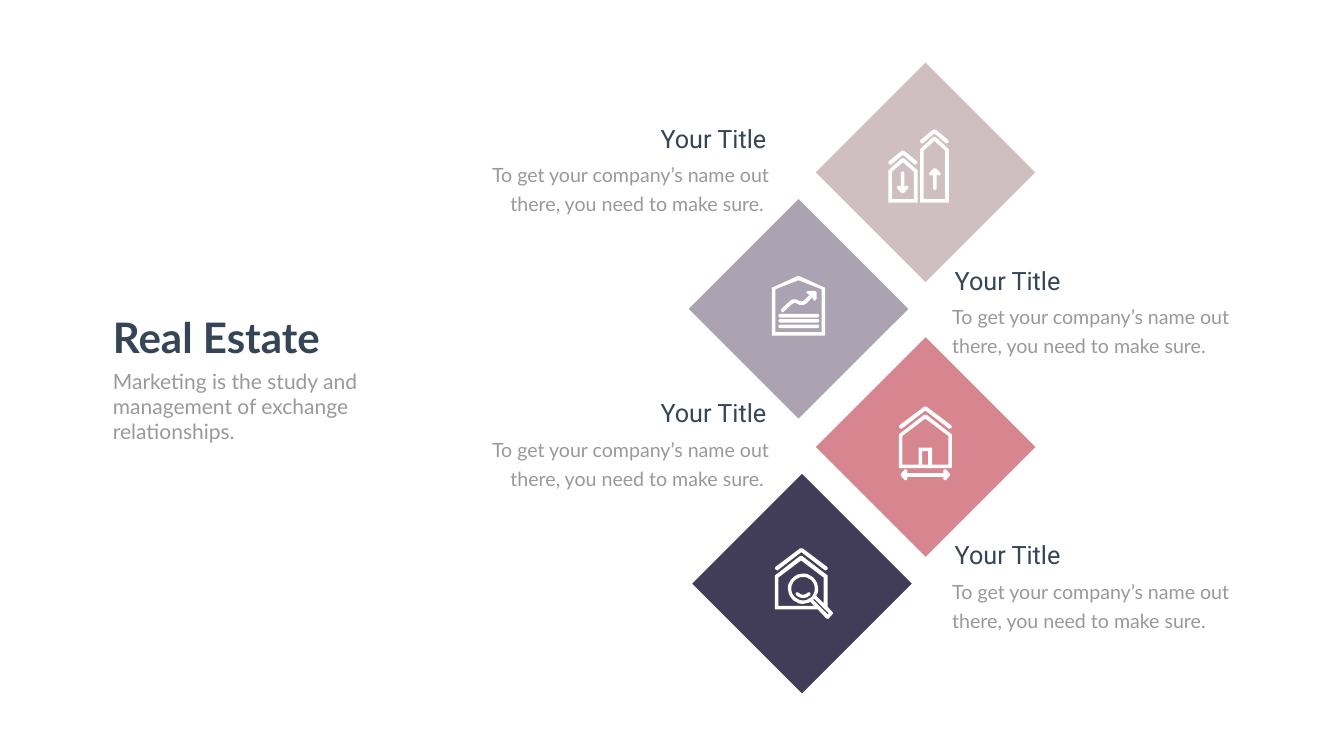
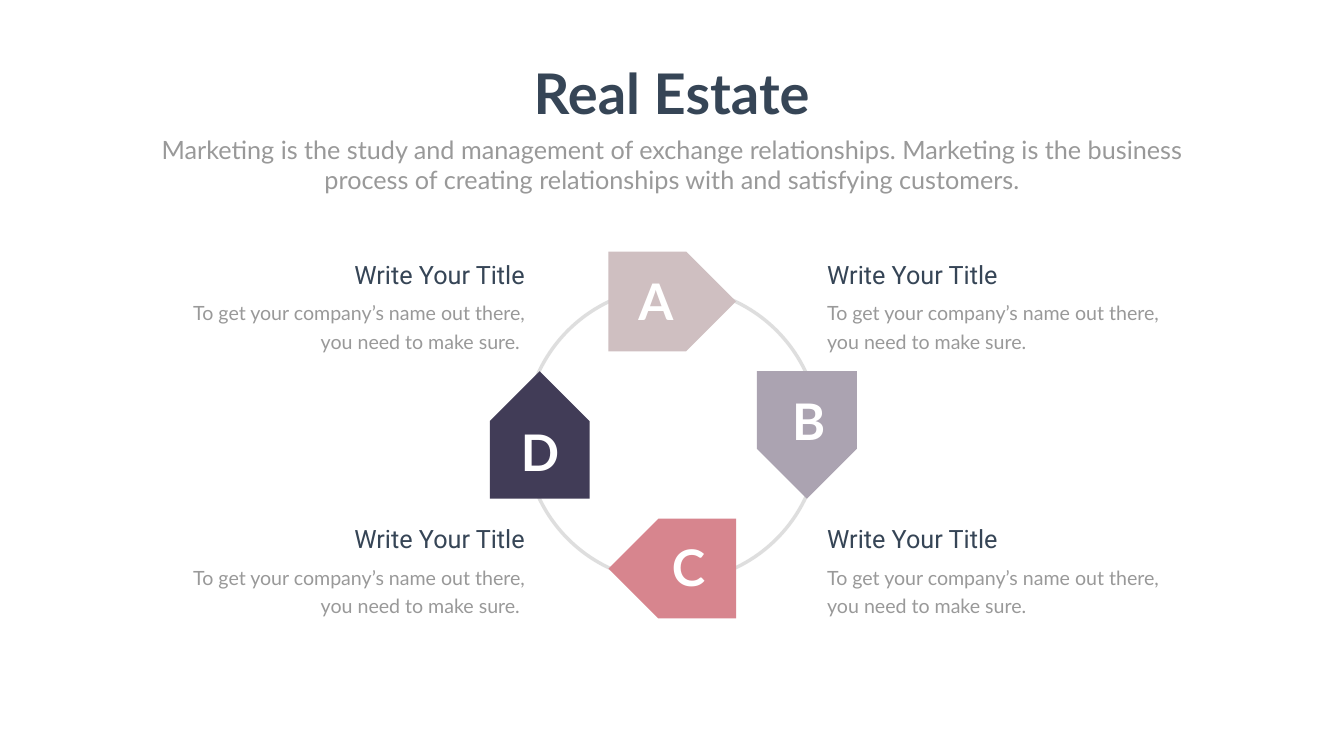
from math import cos, radians, sin
from lxml import etree
from pptx import Presentation
from pptx import util as u
from pptx.dml.color import RGBColor
from pptx.enum import shapes, text
from pptx.oxml import ns

PX = 9144
NAVY, GREY, WHITE, RING = "364556", "999999", "FFFFFF", "BFBFBF"
ROSE, MAUVE, CORAL, PLUM = "CFBFC1", "ABA3B1", "D7858E", "413C57"
KIND, ALIGN = shapes.MSO_SHAPE, text.PP_ALIGN
BLURB = "To get your company’s name out there, you need to make sure."


def ink(code):
    """Turn a hex string into a colour."""
    return RGBColor.from_string(code)


def box(rect):
    """Turn a px rectangle into EMU."""
    return [n * PX for n in rect]


def mirror(half, w):
    """Close a left half outline with its reflection across width w."""
    return half + [(w - x, y) for x, y in reversed(half)]


def move(loop, x, y):
    """Shift an outline."""
    return [(x + a, y + b) for a, b in loop]


def arc(x, y, r, start, end, step):
    """Sample points along a circle, in degrees."""
    return [(round(x + r * cos(radians(a)), 2), round(y + r * sin(radians(a)), 2))
            for a in range(start, end, step)]


class Deck:
    """Hold the style and the current slide."""

    def __init__(self):
        """Open an empty deck of the right size."""
        self.prs = Presentation()
        self.prs.slide_width, self.prs.slide_height = 2666 * PX, 1500 * PX

    def page(self, head, hbox, hsize, body, bbox, bsize, align=ALIGN.LEFT):
        """Start a slide with its title and its subtitle."""
        self.slide = self.prs.slides.add_slide(self.prs.slide_layouts[1])
        title, sub = self.slide.placeholders
        self.place(title, hbox)
        self.place(sub, bbox)
        para = sub.text_frame.paragraphs[0]
        props = para._p.get_or_add_pPr()
        props.set("marL", "0")
        props.set("indent", "0")
        etree.SubElement(props, ns.qn("a:buNone"))
        para.space_before = u.Pt(0)
        self.letter(title, head, hsize, NAVY, align, bold=True)
        self.letter(sub, body, bsize, GREY, align)

    def place(self, shape, rect):
        """Move a placeholder to a rectangle."""
        shape.left, shape.top, shape.width, shape.height = box(rect)

    def letter(self, shape, words, size, code, align, font="Lato", bold=False, lead=None):
        """Fill a shape with one styled paragraph."""
        frame = shape.text_frame
        frame.word_wrap = True
        frame.auto_size = text.MSO_AUTO_SIZE.SHAPE_TO_FIT_TEXT
        frame.vertical_anchor = text.MSO_ANCHOR.TOP
        para = frame.paragraphs[0]
        para.text = words
        para.alignment = align
        if lead:
            para.line_spacing = u.Pt(lead)
        style = para.runs[0].font
        style.name, style.size, style.bold = font, u.Pt(size), bold
        style.color.rgb = ink(code)

    def label(self, rect, *args, **style):
        """Add a text box."""
        self.letter(self.slide.shapes.add_textbox(*box(rect)), *args, **style)

    def caption(self, head, x, y, w, hw, gap, shift, right):
        """Add a heading with a blurb below, flush to one side."""
        hx = x + w - hw - shift if right else x + shift
        align = ALIGN.RIGHT if right else ALIGN.LEFT
        self.label((x, y + gap, w, 119), BLURB + " " * right, 28, GREY, align, lead=40.8)
        self.label((hx, y, hw, 71), head, 36, NAVY, align, font="Roboto")

    def paint(self, shape, code):
        """Give a shape a flat fill."""
        shape.shadow.inherit = False
        shape.fill.solid()
        shape.fill.fore_color.rgb = ink(code)
        shape.line.fill.background()

    def block(self, kind, rect, code, turn=0):
        """Add a filled preset shape."""
        shape = self.slide.shapes.add_shape(kind, *box(rect))
        self.paint(shape, code)
        shape.rotation = turn
        return shape

    def ring(self, rect):
        """Add a half transparent circle line."""
        shape = self.slide.shapes.add_shape(KIND.OVAL, *box(rect))
        shape.shadow.inherit = False
        shape.fill.background()
        shape.line.width = u.Pt(5)
        shape.line.color.rgb = ink(RING)
        tone = shape.line._ln.find(".//" + ns.qn("a:srgbClr"))
        etree.SubElement(tone, ns.qn("a:alpha")).set("val", "50000")

    def free(self, *loops):
        """Add a white outline, later loops cutting holes."""
        pen = self.slide.shapes.build_freeform(*loops[0][0], scale=PX)
        pen.add_line_segments(loops[0][1:])
        for loop in loops[1:]:
            pen.move_to(*loop[0])
            pen.add_line_segments(loop[1:])
        self.paint(pen.convert_to_shape(), WHITE)

    def roof(self, x, y, w, h):
        """Add a chevron roof."""
        mid = w // 2
        half = [(mid, 8), (5, h), (0, h - 3), (1, h - 7), (mid - 2, 0)]
        self.free(move(mirror(half, w), x, y))

    def wall(self, x, y, w, h, eave, *extra):
        """Add a hollow gabled wall."""
        mid = w // 2
        outer = [(mid - 2, 0), (0, eave), (0, h)]
        inner = [(mid, 8), (7, eave + 3), (7, h - 7)]
        self.free(*(move(mirror(half, w), x, y) for half in (outer, inner)), *extra)

    def towers(self):
        """Draw two towers with arrows."""
        for x, y, w, h in ((1825, 272, 57, 130), (1762, 314, 58, 88)):
            self.wall(x, y, w, h, 24)
            self.roof(x, y - 15, w, 28)
        half = [(10, 0), (8, 3), (8, 31), (6, 29), (1, 29), (0, 33), (8, 42), (10, 43)]
        down = mirror(half, 23)
        self.free(move(down, 1779, 340))
        self.free(move([(x, 43 - y) for x, y in down], 1843, 334))

    def report(self):
        """Draw a house with a trend line and text rows."""
        self.wall(1531, 548, 106, 118, 23)
        self.free([(1566, 598), (1550, 613), (1549, 617), (1553, 620), (1555, 618),
                   (1571, 603), (1575, 601), (1580, 602), (1586, 605), (1594, 605),
                   (1600, 602), (1612, 589), (1612, 593), (1616, 597), (1620, 593),
                   (1620, 580), (1616, 577), (1603, 577), (1599, 580), (1603, 584),
                   (1607, 584), (1594, 597), (1590, 598), (1585, 597), (1579, 594),
                   (1572, 594)])
        for row in range(3):
            bar = self.block(KIND.ROUNDED_RECTANGLE, (1544, 623 + row * 21 // 2, 81, 7), WHITE)
            bar.adjustments[0] = 0.5

    def home(self):
        """Draw a house with a door and a width arrow."""
        door = [(1822, 922), (1822, 888), (1849, 888), (1849, 922)]
        gap = [(1829, 922), (1829, 895), (1841, 895), (1841, 922)]
        self.wall(1783, 823, 105, 106, 39, door, gap)
        self.roof(1783, 807, 105, 44)
        half = [(12, 15), (13, 17), (12, 21), (8, 22), (0, 13), (0, 9),
                (8, 0), (12, 1), (13, 5), (12, 8)]
        self.free(move(mirror(half, 97), 1787, 931))

    def search(self):
        """Draw a house under a magnifier."""
        self.roof(1537, 1088, 105, 44)
        outer = [(1651, 1214), (1642, 1204), (1642, 1142), (1591, 1103), (1587, 1103),
                 (1537, 1142), (1537, 1209), (1622, 1209), (1639, 1227), (1643, 1228),
                 (1651, 1219), (1653, 1217)]
        inner = [(1544, 1202), (1544, 1146), (1589, 1112), (1634, 1146), (1634, 1197)]
        inner += arc(1593, 1168, 30, 28, -300, -10) + [(1607, 1194), (1615, 1202)]
        grip = [(1613, 1190), (1615, 1188), (1644, 1217), (1642, 1219)]
        self.free(outer, inner, grip, arc(1593, 1168, 23, 0, 360, 10))
        smile = [(15, 5), (10, 4), (6, 1), (3, 0), (0, 2), (1, 6), (7, 10), (15, 12)]
        self.free(move(mirror(smile, 30), 1578, 1175))


def main():
    """Build both slides."""
    deck = Deck()
    deck.page("Real Estate", (214, 614, 596, 111), 60,
              "Marketing is the study and management of exchange relationships.",
              (214, 726, 529, 162), 30)
    for x, y, code in ((1437, 1004, PLUM), (1682, 733, CORAL),
                       (1430, 459, MAUVE), (1682, 188, ROSE)):
        deck.block(KIND.RECTANGLE, (x, y, 308, 308), code, 45)
    deck.search()
    deck.home()
    deck.towers()
    deck.report()
    for x, y, right in ((1879, 521, False), (886, 239, True)):
        for row in (1, 0):
            deck.caption("Your Title", x, y + row * 545, 649, 357, 70, 5, right)

    deck.page("Real Estate", (1041, 112, 583, 145), 80,
              "Marketing is the study and management of exchange relationships. "
              "Marketing is the business process of creating relationships with "
              "and satisfying customers.",
              (292, 261, 2082, 131), 36, ALIGN.CENTER)
    deck.ring((1041, 570, 585, 585))
    for mark, x, y, turn, code, tx, ty in (
            ("A", 1207, 499, 0, ROSE, 1235, 530), ("C", 1207, 1029, 180, CORAL, 1300, 1059),
            ("B", 1474, 764, 90, MAUVE, 1538, 769), ("D", 944, 764, 270, PLUM, 1005, 830)):
        deck.block(KIND.PENTAGON, (x, y, 253, 198), code, turn)
        deck.label((tx, ty, 132, 131), mark, 72, WHITE, ALIGN.CENTER, bold=True)
    for x, right in ((357, True), (1631, False)):
        for y in (509, 1033):
            deck.caption("Write Your Title", x, y, 694, 370, 74, 0, right)
    deck.prs.save("out.pptx")


if __name__ == "__main__":
    main()
